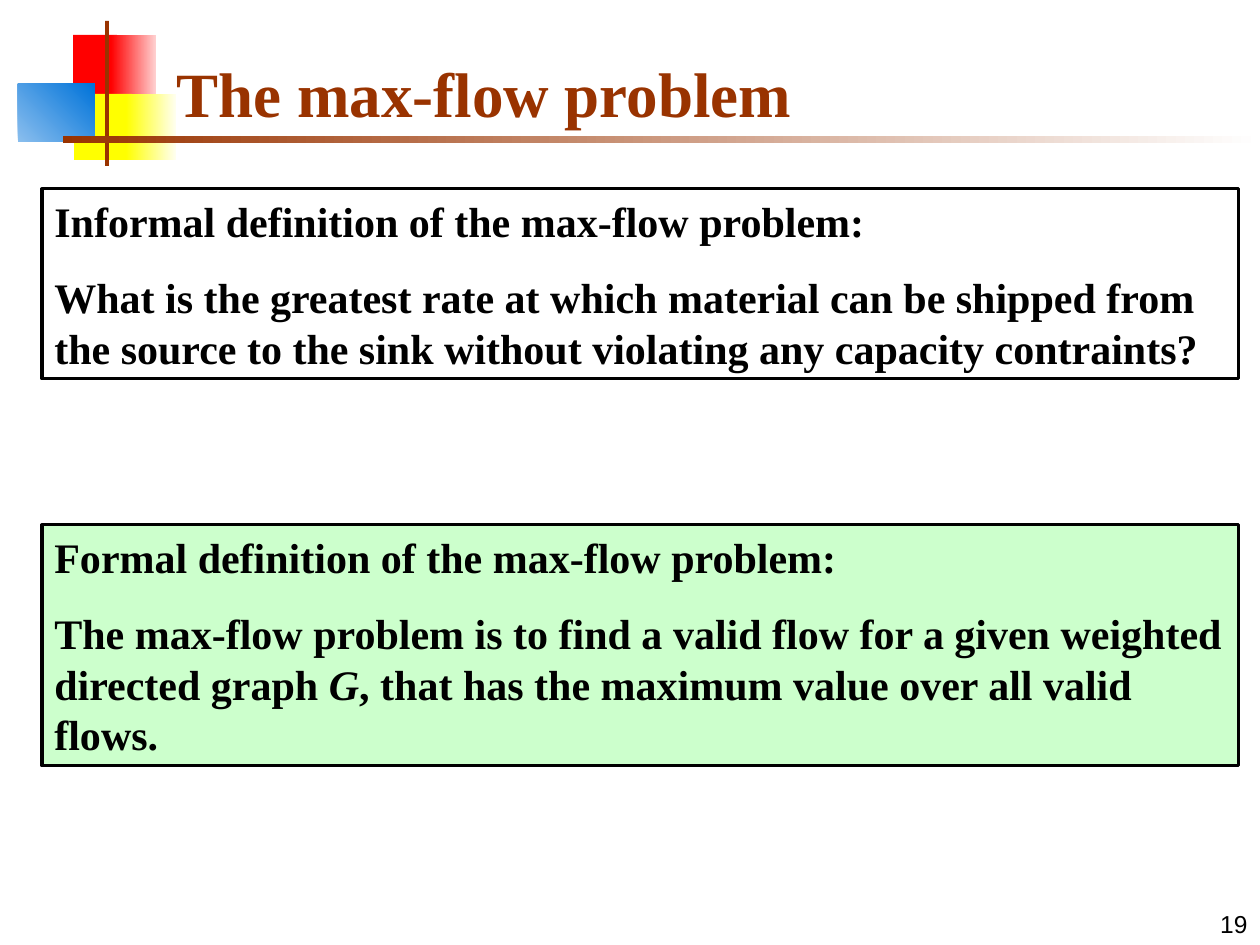
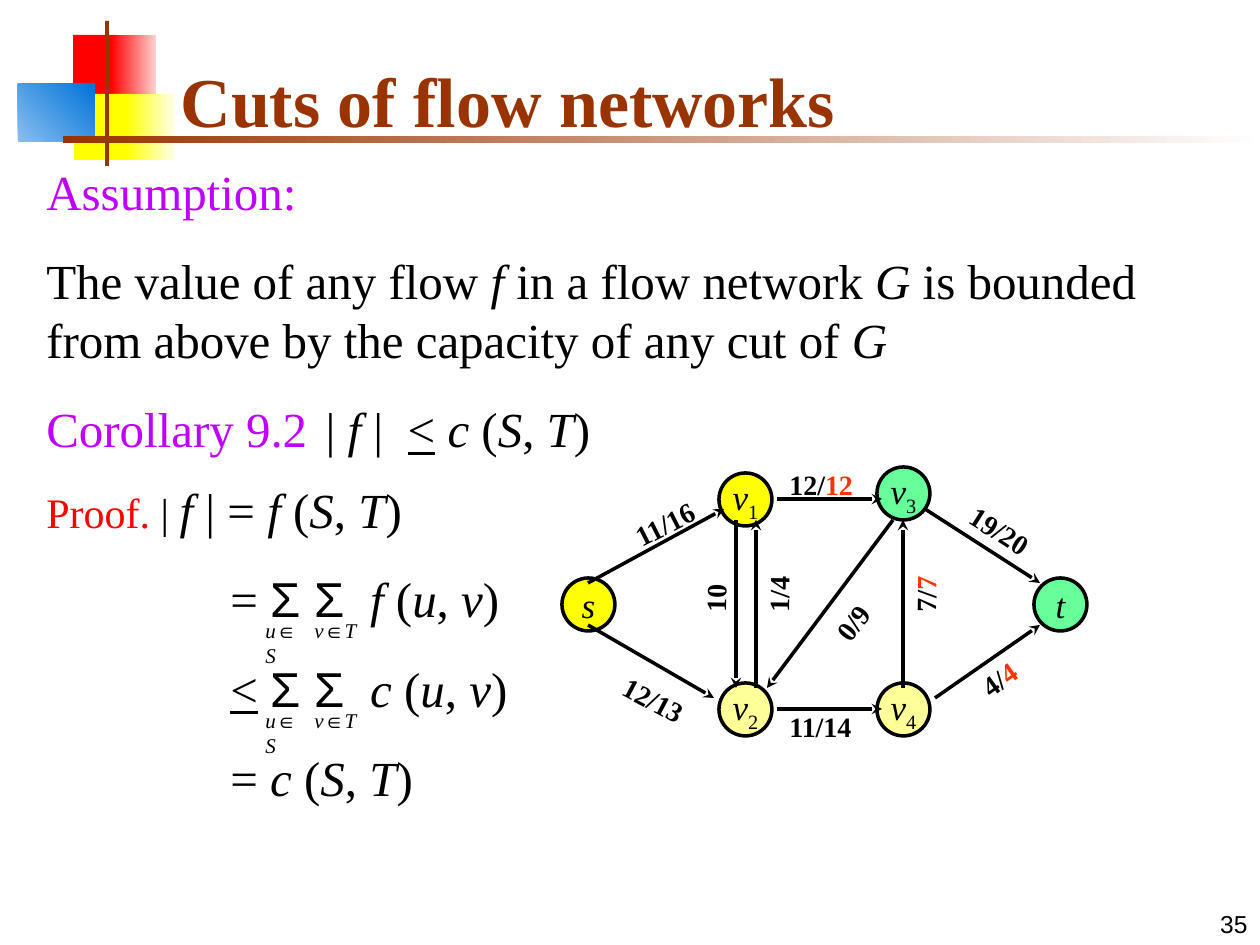
"""Build two slides on maximum flow and cuts of flow networks."""
import pptx
import pptx.dml.color
import pptx.enum.shapes
import pptx.enum.text
import pptx.oxml
import pptx.oxml.ns
import pptx.util
from lxml import etree

RGB = pptx.dml.color.RGBColor
ALIGN = pptx.enum.text.PP_ALIGN
ANCHOR = pptx.enum.text.MSO_ANCHOR
SHAPE = pptx.enum.shapes.MSO_SHAPE

BLACK = RGB(0x00, 0x00, 0x00)
WHITE = RGB(0xFF, 0xFF, 0xFF)
BROWN = RGB(0x99, 0x33, 0x00)
RED = RGB(0xFF, 0x00, 0x00)
PINK = RGB(0xFF, 0xD1, 0xD1)
YELLOW = RGB(0xFF, 0xFF, 0x00)
IVORY = RGB(0xFF, 0xFF, 0xF0)
SKY = RGB(0x8B, 0xBF, 0xEE)
BLUE = RGB(0x00, 0x73, 0xD9)
MINT = RGB(0xCC, 0xFF, 0xCC)
GREEN = RGB(0x66, 0xFF, 0x99)
CREAM = RGB(0xFF, 0xFF, 0x99)
PURPLE = RGB(0xBF, 0x00, 0xFF)
ORANGE = RGB(0xFF, 0x33, 0x00)

SERIF = "Times New Roman"
SANS = "Arial"
PX = 914400 / 126
NODE_SIZE = 53
LABEL_SIZE = (94, 47)
STEP_INDENT = 184

MOTIF = [
    ((73, 35, 44, 66), (RED,), 0),
    ((111, 35, 45, 66), (RED, PINK), 0),
    ((74, 94, 58, 66), (YELLOW,), 0),
    ((126, 94, 50, 66), (YELLOW, IVORY), 0),
    ((18, 84, 77, 58), (SKY, BLUE), 45),
    ((105, 21, 4, 145), (BROWN,), 0),
    ((63, 136, 1197, 7), (BROWN, WHITE), 0),
]

# In run texts, asterisks switch italics on and off.
DEFINITIONS = [
    ((42, 189, 1197, 190), WHITE, [
        ["Informal definition of the max-flow problem:"],
        ["What is the greatest rate at which material can be shipped from "
         "the source to the sink without violating any capacity contraints?"],
    ]),
    ((42, 525, 1197, 241), MINT, [
        ["Formal definition of the max-flow problem:"],
        ["The max-flow problem is to find a valid flow for a given weighted "
         "directed graph *G*, that has the maximum value over all valid flows."],
    ]),
]

ASSUMPTION = [
    [("Assumption:", {"color": PURPLE})],
    ["The value of any flow *f* in a flow network *G* is bounded "
     "from above by the capacity of any cut of *G*"],
    [("Corollary 9.2 ", {"color": PURPLE}), (" ", {"size": 14, "bold": True}),
     "| *f* |  ", ("<", {"underline": True}), " *c* (*S*, *T*)"],
]
PROOF = [
    [("Proof.", {"size": 24, "color": RED}), (" | ", {"size": 24}),
     "*f* | = *f *(*S*, *T*)"],
]
PROOF_STEPS = [
    ["= ", ("Σ Σ ", {"font": SANS}), " *f* (*u*, *v*)"],
    [("<", {"underline": True}), " ", ("Σ Σ ", {"font": SANS}),
     " *c* (*u*, *v*)"],
    ["= *c* (*S*, *T*)"],
]
SUM_ROWS = [611, 701]
SUM_RANGES = [(253, 65, "u", "S"), (302, 72, "v", "T")]

NODES = [
    ("s", "", 562, 578, YELLOW),
    ("t", "", 1034, 578, GREEN),
    ("v", "1", 719, 473, YELLOW),
    ("v", "2", 719, 683, CREAM),
    ("v", "3", 877, 467, GREEN),
    ("v", "4", 877, 683, CREAM),
]

EDGES = [
    ((777, 499), (882, 499), "12/", "12", (777, 461), 0),
    ((777, 709), (882, 709), "11/14", "", (777, 703), 0),
    ((588, 583), (724, 509), "11/16", "", (621, 499), 333.1),
    ((588, 625), (714, 698), "12/13", "", (609, 678), 27.9),
    ((736, 520), (736, 688), "10", "", (669, 554), 270.9),
    ((756, 688), (756, 520), "1/4", "", (732, 554), 270.9),
    ((903, 688), (903, 520), "7/", "7", (879, 554), 270.9),
    ((893, 520), (767, 688), "0/9", "", (816, 586), 307.4),
    ((925, 509), (1040, 583), "19/20", "", (955, 509), 32.5),
    ((935, 698), (1040, 625), "4/", "4", (966, 646), 324.6),
]


def emu(*lengths):
    return [pptx.util.Emu(round(length * PX)) for length in lengths]


def add_run(paragraph, text, size, color=BLACK, font=SERIF, bold=False,
            italic=False, underline=False, baseline=0):
    run = paragraph.add_run()
    run.text = text
    run.font.size = pptx.util.Pt(size)
    run.font.name = font
    run.font.bold = bold
    run.font.italic = italic
    run.font.underline = underline
    run.font.color.rgb = color
    if baseline:
        run._r.get_or_add_rPr().set("baseline", str(baseline))


def write(frame, paragraphs, gap=0, align=ALIGN.LEFT, anchor=ANCHOR.TOP,
          wrap=True, **style):
    frame.word_wrap = wrap
    frame.auto_size = pptx.enum.text.MSO_AUTO_SIZE.NONE
    frame.vertical_anchor = anchor
    for index, runs in enumerate(paragraphs):
        paragraph = frame.add_paragraph() if index else frame.paragraphs[0]
        paragraph.alignment = align
        if index and gap:
            paragraph.space_before = pptx.util.Pt(gap)
        for run in runs:
            text, changes = (run, {}) if isinstance(run, str) else run
            for part, piece in enumerate(text.split("*")):
                if piece:
                    look = {"italic": part % 2 == 1, **style, **changes}
                    add_run(paragraph, piece, **look)


def add_text(slide, box, paragraphs, **style):
    area = slide.shapes.add_textbox(*emu(*box))
    write(area.text_frame, paragraphs, **style)
    return area


def add_figure(slide, kind, box, fill, outline=0):
    figure = slide.shapes.add_shape(kind, *emu(*box))
    figure.shadow.inherit = False
    figure.fill.solid()
    figure.fill.fore_color.rgb = fill
    if outline:
        figure.line.color.rgb = BLACK
        figure.line.width = pptx.util.Pt(outline)
    else:
        figure.line.fill.background()
    return figure


def add_arrow(slide, start, end):
    arrow = slide.shapes.add_connector(
        pptx.enum.shapes.MSO_CONNECTOR.STRAIGHT, *emu(*start, *end))
    arrow.line.color.rgb = BLACK
    arrow.line.width = pptx.util.Pt(2)
    qn = pptx.oxml.ns.qn
    properties = arrow.element.spPr
    etree.SubElement(properties.find(qn("a:ln")), qn("a:tailEnd"), type="stealth")
    etree.SubElement(properties, qn("a:effectLst"))


def move_motif_to_master(deck, slide):
    tree = deck.slide_master.element.cSld.spTree
    for order, (box, colors, angle) in enumerate(MOTIF):
        bar = add_figure(slide, SHAPE.RECTANGLE, box, colors[0])
        if len(colors) == 2:
            bar.fill.gradient()
            bar.fill.gradient_angle = angle
            for stop, color, position in zip(bar.fill.gradient_stops, colors, (0, 1)):
                stop.color.rgb = color
                stop.position = position
        bar.element.nvSpPr.cNvPr.set("id", str(20 + order))
        tree.insert(2 + order, bar.element)


def add_page(deck, heading, box, size, number):
    slide = deck.slides.add_slide(deck.slide_layouts[5])
    title = slide.shapes.title
    title.left, title.top, title.width, title.height = emu(*box)
    write(title.text_frame, [[heading]], anchor=ANCHOR.BOTTOM,
          size=size, color=BROWN, bold=True)
    add_text(slide, (998, 882, 262, 63), [[number]], align=ALIGN.RIGHT,
             anchor=ANCHOR.BOTTOM, size=14, font=SANS)
    return slide


def add_definitions(slide):
    for box, fill, paragraphs in DEFINITIONS:
        panel = add_figure(slide, SHAPE.RECTANGLE, box, fill, 1.75)
        write(panel.text_frame, paragraphs, gap=15, size=24, bold=True)


def add_proof(slide):
    add_text(slide, (34, 155, 1187, 310), ASSUMPTION, gap=17.5, size=28)
    proof = add_text(slide, (34, 473, 525, 340), PROOF + PROOF_STEPS,
                     gap=17.5, size=28)
    for step in proof.text_frame.paragraphs[len(PROOF):]:
        properties = step._p.get_or_add_pPr()
        properties.set("marL", str(emu(STEP_INDENT)[0]))
        properties.set("indent", "0")
    for top in SUM_ROWS:
        for left, width, vertex, side in SUM_RANGES:
            bounds = [f"*{vertex}*", ("∈", {"font": SANS}), f"*{side}*"]
            add_text(slide, (left, top, width, 48), [bounds], size=12)


def add_network(slide):
    for letter, index, left, top, fill in NODES:
        node = add_figure(slide, SHAPE.OVAL, (left, top, NODE_SIZE, NODE_SIZE), fill, 2)
        write(node.text_frame, [[f"*{letter}*", (index, {"baseline": -25000})]],
              align=ALIGN.CENTER, anchor=ANCHOR.MIDDLE, wrap=False, size=20)
    for start, end, flow, saturated, corner, turn in EDGES:
        add_arrow(slide, start, end)
        label = add_text(slide, corner + LABEL_SIZE,
                         [[flow, (saturated, {"color": ORANGE})]],
                         size=16, bold=True)
        label.rotation = turn


def main():
    deck = pptx.Presentation()
    deck.slide_width, deck.slide_height = emu(1260, 945)
    problem = add_page(deck, "The max-flow problem", (164, 26, 1071, 110), 36, "19")
    move_motif_to_master(deck, problem)
    add_definitions(problem)
    cuts = add_page(deck, "Cuts of flow networks", (168, 32, 1074, 116), 40, "35")
    add_proof(cuts)
    add_network(cuts)
    deck.save("out.pptx")


if __name__ == "__main__":
    main()
